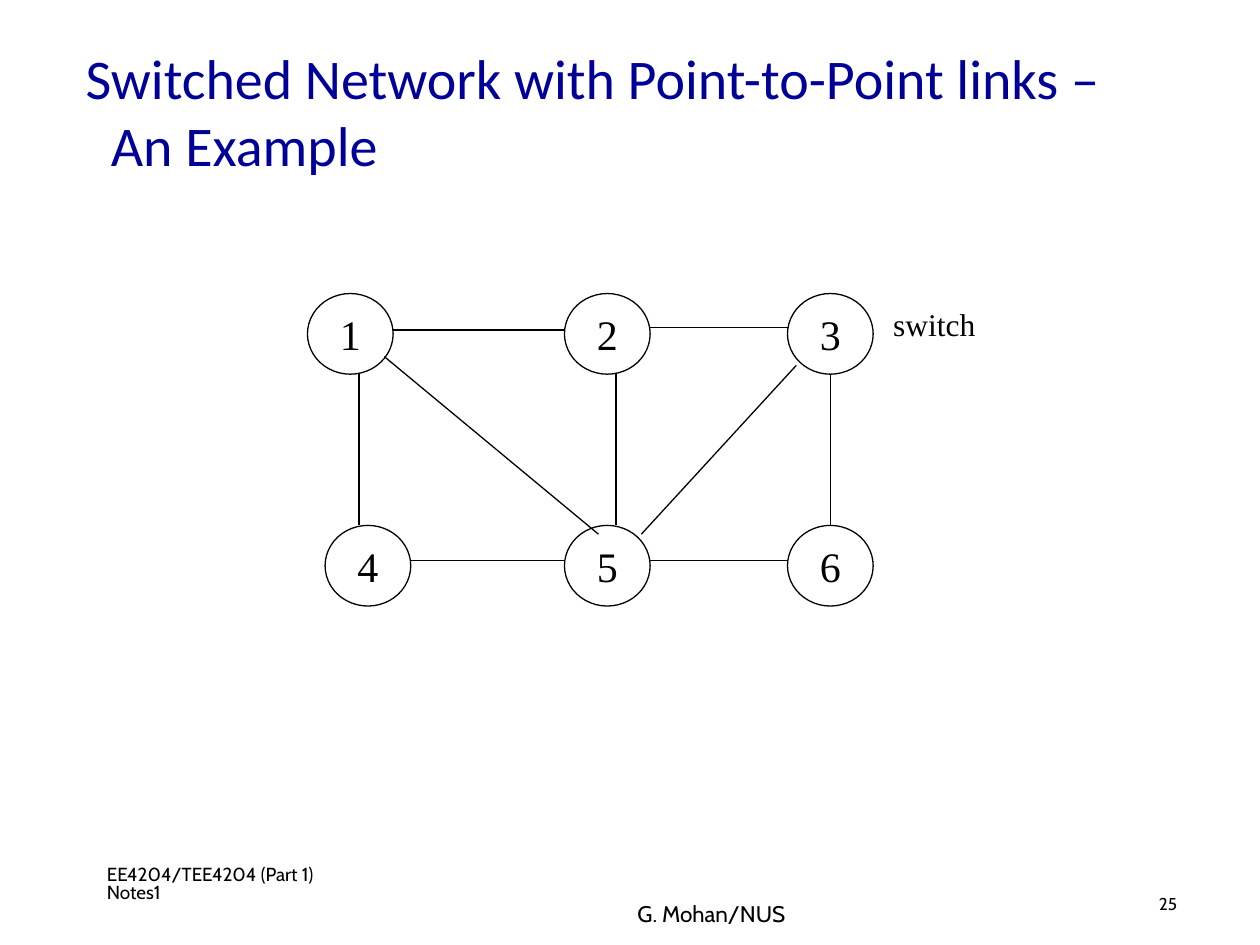
from lxml.etree import SubElement
from pptx import Presentation
from pptx.dml.color import RGBColor
from pptx.enum.shapes import MSO_CONNECTOR, MSO_SHAPE
from pptx.enum.text import MSO_ANCHOR, PP_ALIGN
from pptx.oxml.ns import qn
from pptx.util import Inches, Pt

NAVY = RGBColor(0x00, 0x00, 0x99)
BLACK = RGBColor(0x00, 0x00, 0x00)
SERIF = "Times New Roman"
FOOTER = "Cabin"

deck = Presentation()
deck.slide_width = Inches(10)
deck.slide_height = Inches(7.5)
page = deck.slides.add_slide(deck.slide_layouts[5])


def place(item, left, top, width, height):
    item.left, item.top = Inches(left), Inches(top)
    item.width, item.height = Inches(width), Inches(height)


def write(shape, text, font, size, color, align=PP_ALIGN.LEFT, spacing=1.0):
    shape.text_frame.text = text
    para = shape.text_frame.paragraphs[0]
    para.alignment = align
    para.line_spacing = spacing
    span = para.runs[0]
    span.font.name = font
    span.font.size = Pt(size)
    span.font.color.rgb = color


title = page.shapes.title
place(title, 0.58, 0.25, 8.5, 1.25)
write(title, "Switched Network with Point-to-Point links – An Example", "Calibri", 32, NAVY)
title.text_frame.vertical_anchor = MSO_ANCHOR.MIDDLE
hanging = title.text_frame.paragraphs[0]._p.get_or_add_pPr()
hanging.set("marL", str(Inches(0.2)))
hanging.set("indent", str(-Inches(0.2)))

labels = [
    ("EE4204/TEE4204 (Part 1) Notes1", (0.75, 6.83, 2.08, 0.5), FOOTER, 10.8, PP_ALIGN.LEFT, 0.8),
    ("G. Mohan/NUS", (4.48, 7.12, 1.85, 0.32), FOOTER, 12.9, PP_ALIGN.RIGHT, 0.9),
    ("25", (9.1, 7.07, 0.74, 0.3), FOOTER, 9.8, PP_ALIGN.LEFT, 0.8),
    ("switch", (6.99, 2.37, 1.42, 0.4), SERIF, 18, PP_ALIGN.LEFT, 1.0),
]
for text, area, font, size, align, spacing in labels:
    box = page.shapes.add_textbox(0, 0, 0, 0)
    place(box, *area)
    box.text_frame.word_wrap = True
    write(box, text, font, size, BLACK, align, spacing)

node_width, node_height = 0.68, 0.64
columns = [2.44, 4.48, 6.25]
top_row, bottom_row = 2.33, 4.17
shifted_column = columns[0] + 0.14
nodes = {
    "1": (columns[0], top_row),
    "2": (columns[1], top_row),
    "3": (columns[2], top_row),
    "4": (shifted_column, bottom_row),
    "5": (columns[1], bottom_row),
    "6": (columns[2], bottom_row),
}
for name, (left, top) in nodes.items():
    switch = page.shapes.add_shape(MSO_SHAPE.OVAL, 0, 0, 0, 0)
    place(switch, left, top, node_width, node_height)
    switch.shadow.inherit = False
    switch.fill.background()
    switch.line.color.rgb = BLACK
    switch.line.width = Pt(0.75)
    switch.text_frame.word_wrap = False
    switch.text_frame.vertical_anchor = MSO_ANCHOR.MIDDLE
    write(switch, name, SERIF, 24, BLACK, PP_ALIGN.CENTER)

links = [(3.05, 2.83, 4.75, 4.24), (6.32, 2.9, 5.09, 4.24)]
for start, end, drop in [("1", "2", 0.29), ("2", "3", 0.27), ("4", "5", 0.28), ("5", "6", 0.28)]:
    height = nodes[start][1] + drop
    links.append((nodes[start][0] + node_width, height, nodes[end][0], height))
for column, offset in zip(columns, [0.41, 0.41, 0.34]):
    links.append((column + offset, top_row + node_height, column + offset, bottom_row))

for ends in links:
    link = page.shapes.add_connector(MSO_CONNECTOR.STRAIGHT, *[Inches(end) for end in ends])
    link.line.color.rgb = BLACK
    link.line.width = Pt(0.75)
    SubElement(link._element.spPr, qn("a:effectLst"))

deck.save("out.pptx")
